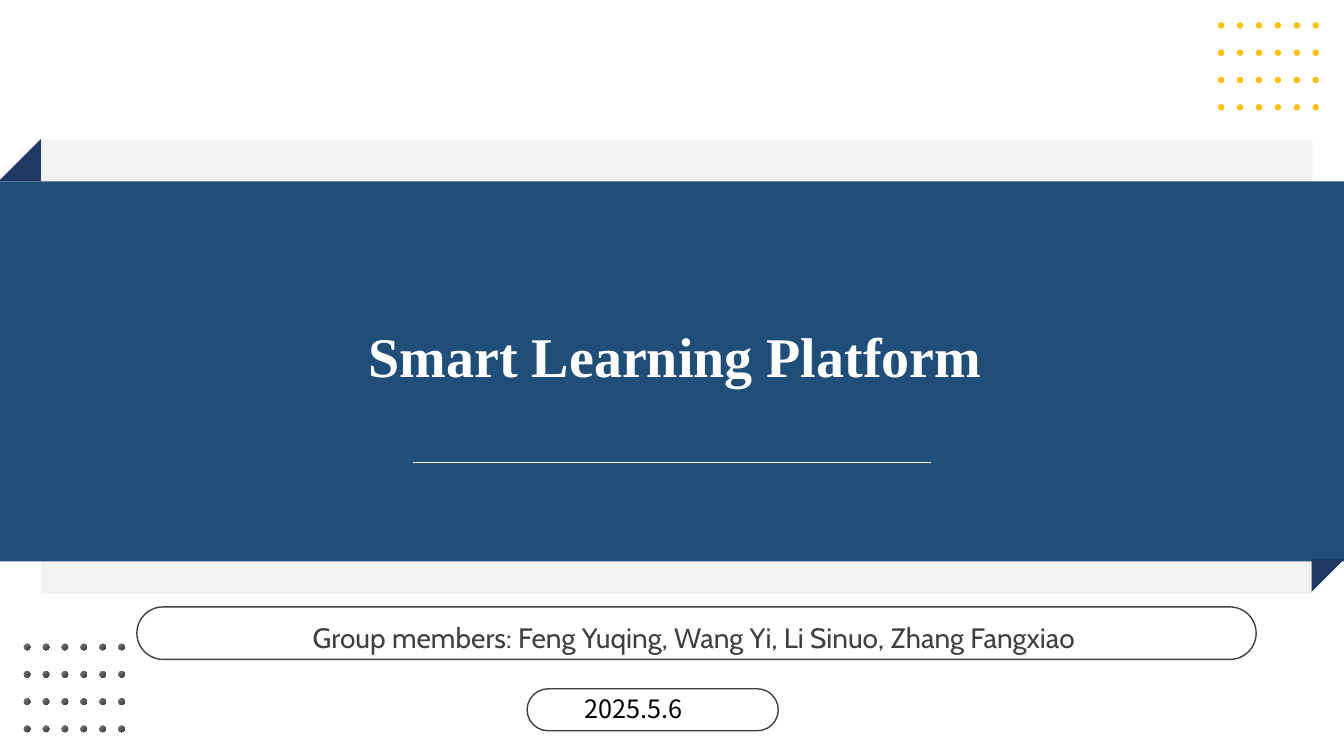
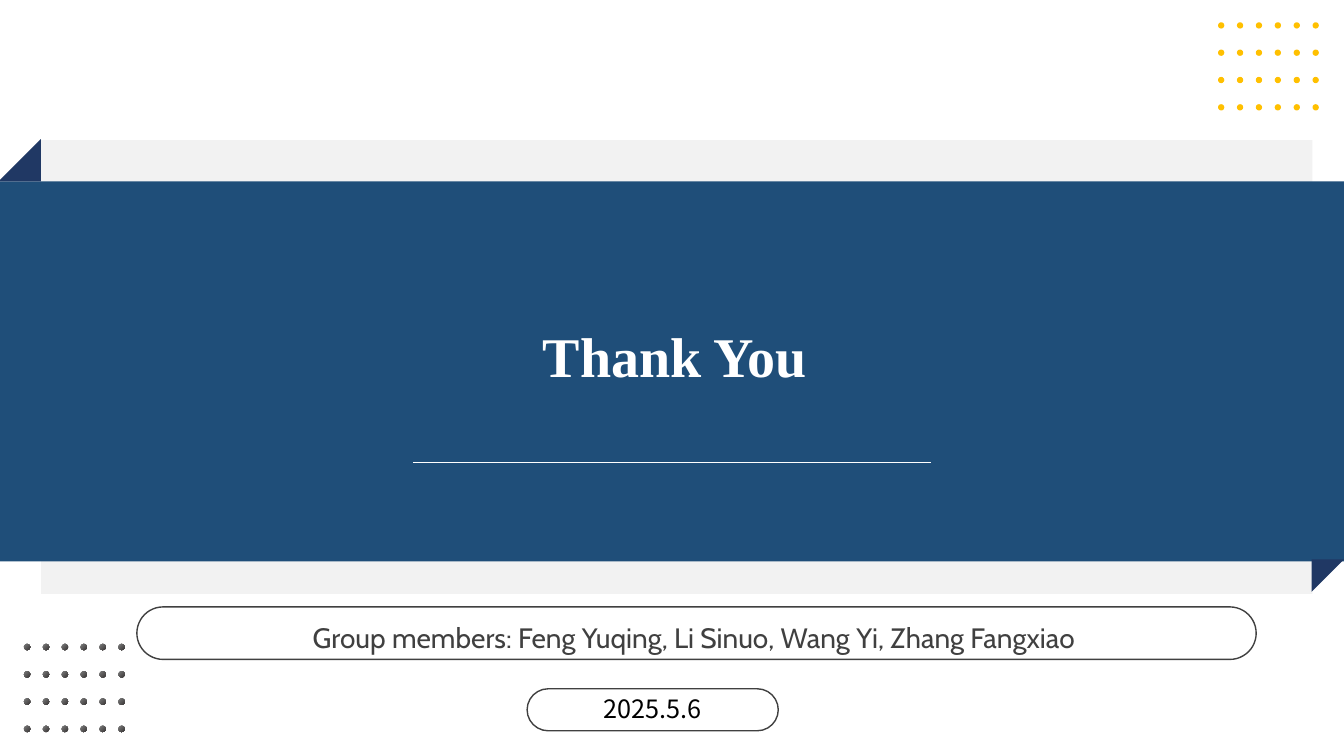
"""Build the opening and closing slides of the Smart Learning Platform talk."""
from dataclasses import dataclass

from lxml.etree import SubElement
from pptx import Presentation
from pptx.dml.color import RGBColor
from pptx.enum.shapes import MSO_CONNECTOR, MSO_SHAPE
from pptx.enum.text import MSO_ANCHOR, PP_ALIGN
from pptx.oxml.ns import qn
from pptx.util import Inches, Pt


@dataclass(frozen=True)
class Theme:
    """Colours and type styles shared by the slides."""
    band: str = "1F4E79"
    fold: str = "203864"
    panel: str = "F2F2F2"
    accent: str = "FFC000"
    outline: str = "404040"
    rule: str = "FFFFFF"
    grey_dots: tuple = ("808080", "3B3838")
    title: tuple = ("Times New Roman", 40, "FFFFFF", True)
    members: tuple = ("Cabin", 20, "404040", False)
    date: tuple = ("Noto Sans CJK SC", 18, "000000", False)


class Deck:
    """Draw themed elements on the current slide, placed on a 32 by 18 grid."""
    COLUMNS, ROWS = 32, 18

    def __init__(self, theme):
        self.theme = theme
        self.presentation = Presentation()
        self.presentation.slide_width = Inches(13.33)
        self.presentation.slide_height = Inches(7.5)
        self.slide = None

    def new_slide(self):
        self.slide = self.presentation.slides.add_slide(self.presentation.slide_layouts[6])

    def place(self, *cells):
        column = self.presentation.slide_width / self.COLUMNS
        row = self.presentation.slide_height / self.ROWS
        return [round(cell * (row if i % 2 else column)) for i, cell in enumerate(cells)]

    def shape(self, kind, cells, fill=None, outline=None, rotation=0, parent=None):
        shape = (parent or self.slide).shapes.add_shape(kind, *self.place(*cells))
        shape.shadow.inherit = False
        shape.rotation = rotation
        if isinstance(fill, tuple):
            shape.fill.gradient()
            shape.fill.gradient_angle = 315
            for stop, colour in zip(shape.fill.gradient_stops, fill):
                stop.color.rgb = RGBColor.from_string(colour)
        elif fill:
            shape.fill.solid()
            shape.fill.fore_color.rgb = RGBColor.from_string(fill)
        else:
            shape.fill.background()
        if outline:
            shape.line.color.rgb = RGBColor.from_string(outline)
            shape.line.width = Pt(1)
        else:
            shape.line.fill.background()
        return shape

    def pill(self, *cells):
        pill = self.shape(MSO_SHAPE.ROUNDED_RECTANGLE, cells, outline=self.theme.outline)
        pill.adjustments[0] = 0.5

    def fold(self, left, top, size, rotation):
        self.shape(MSO_SHAPE.RIGHT_TRIANGLE, (left, top, size, size), self.theme.fold,
                   rotation=rotation)

    def dots(self, left, top, fill):
        group = self.slide.shapes.add_group_shape()
        for row in range(4):
            for column in range(6):
                cells = (left + 0.45 * column, top + 0.65 * row, 0.15, 0.15)
                self.shape(MSO_SHAPE.OVAL, cells, fill, parent=group)

    def rule(self, start, end, row):
        line = self.slide.shapes.add_connector(MSO_CONNECTOR.STRAIGHT,
                                               *self.place(start, row, end, row))
        line.line.color.rgb = RGBColor.from_string(self.theme.rule)
        line.line.width = Pt(0.5)
        SubElement(line._element.spPr, qn("a:effectLst"))

    def text(self, words, style, cells, align=PP_ALIGN.CENTER, anchor=MSO_ANCHOR.MIDDLE):
        frame = self.slide.shapes.add_textbox(*self.place(*cells)).text_frame
        layout = {"word_wrap": True, "margin_top": 0, "margin_bottom": 0,
                  "vertical_anchor": anchor}
        for name, value in layout.items():
            setattr(frame, name, value)
        paragraph = frame.paragraphs[0]
        paragraph.alignment = align
        run = paragraph.add_run()
        run.text = words
        face, size, colour, bold = style
        for name, value in {"name": face, "size": Pt(size), "bold": bold}.items():
            setattr(run.font, name, value)
        run.font.color.rgb = RGBColor.from_string(colour)

    def cover(self, title, members, date, date_align):
        theme = self.theme
        self.new_slide()
        self.shape(MSO_SHAPE.RECTANGLE, (0.98, 3.34, 30.27, 10.8), theme.panel)
        self.text(members, theme.members, (3.89, 14.65, 25.27, 1.06))
        self.pill(3.26, 14.45, 26.65, 1.25)
        self.pill(12.55, 16.4, 5.98, 1)
        self.shape(MSO_SHAPE.RECTANGLE, (0, 4.32, 32, 9.05), theme.band)
        self.text(title, theme.title, (1.92, 7.39, 28.3, 2.11))
        self.dots(29, 0.53, theme.accent)
        self.dots(0.57, 15.33, theme.grey_dots)
        self.fold(31.23, 13.32, 0.77, 90)
        self.fold(-0.04, 3.31, 1.01, 270)
        self.rule(9.84, 22.17, 11.02)
        self.text(date, theme.date, (13.68, 16.5, 3.72, 0.77), date_align, MSO_ANCHOR.TOP)


def main():
    deck = Deck(Theme())
    deck.cover("Smart Learning Platform",
               "Group members: Feng Yuqing, Wang Yi, Li Sinuo, Zhang Fangxiao",
               "2025.5.6", PP_ALIGN.LEFT)
    deck.cover("Thank You",
               "Group members: Feng Yuqing, Li Sinuo, Wang Yi, Zhang Fangxiao",
               "2025.5.6", PP_ALIGN.CENTER)
    deck.presentation.save("out.pptx")


if __name__ == "__main__":
    main()
